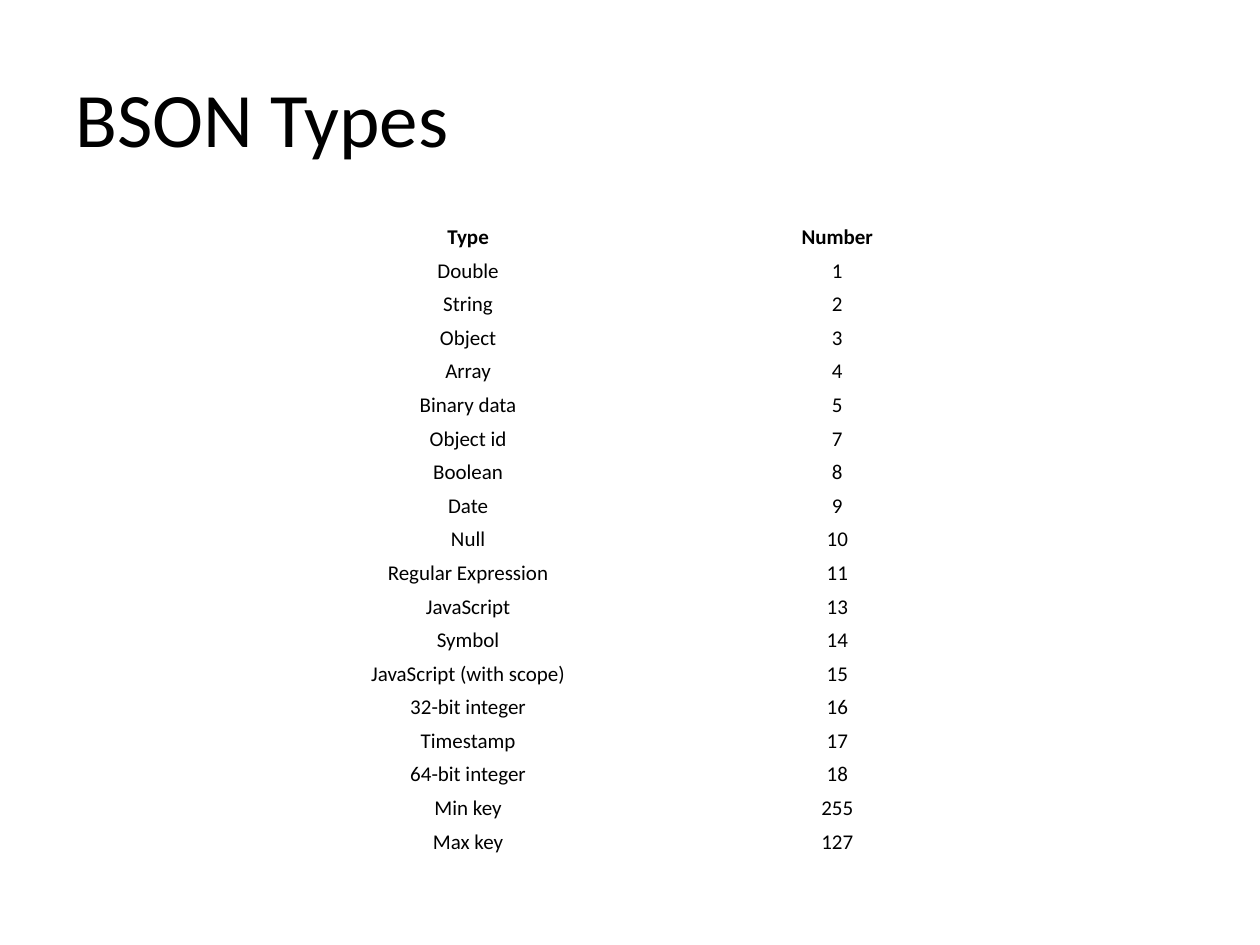
"""Build the BSON Types slide: a title above a two-column table of type numbers."""
from dataclasses import dataclass

from pptx import Presentation
from pptx import util as u
from pptx.dml import color
from pptx.enum import text


@dataclass(frozen=True)
class Theme:
    font: str = "Calibri"
    ink: color.RGBColor = color.RGBColor(0, 0, 0)
    title: u.Pt = u.Pt(44)
    body: u.Pt = u.Pt(12)


theme = Theme()


def style(paragraph, size, bold=False):
    for run in paragraph.runs:
        run.font.name = theme.font
        run.font.size = size
        run.font.bold = bold
        run.font.color.rgb = theme.ink


bson_types = [
    ("Type", "Number"),
    ("Double", 1),
    ("String", 2),
    ("Object", 3),
    ("Array", 4),
    ("Binary data", 5),
    ("Object id", 7),
    ("Boolean", 8),
    ("Date", 9),
    ("Null", 10),
    ("Regular Expression", 11),
    ("JavaScript", 13),
    ("Symbol", 14),
    ("JavaScript (with scope)", 15),
    ("32-bit integer", 16),
    ("Timestamp", 17),
    ("64-bit integer", 18),
    ("Min key", 255),
    ("Max key", 127),
]

deck = Presentation()
deck.slide_width, deck.slide_height = u.Inches(10), u.Inches(7.5)
slide = deck.slides.add_slide(deck.slide_layouts[6])

heading = slide.shapes.add_textbox(
    u.Inches(0.5), u.Inches(0.3), u.Inches(9), u.Inches(1.25)).text_frame
heading.word_wrap = True
heading.vertical_anchor = text.MSO_ANCHOR.MIDDLE
heading.text = "BSON Types"
style(heading.paragraphs[0], theme.title)

type_table = slide.shapes.add_table(
    len(bson_types), 2,
    u.Inches(2.25), u.Inches(1.75), u.Inches(5.86), u.Inches(5.04)).table
type_table.first_row = False
type_table.horz_banding = False

for row, entry in enumerate(bson_types):
    for column, value in enumerate(entry):
        cell = type_table.cell(row, column)
        cell.fill.background()
        cell.vertical_anchor = text.MSO_ANCHOR.MIDDLE
        cell.margin_left = cell.margin_right = u.Inches(0.07)
        cell.margin_top = cell.margin_bottom = u.Pt(2.4)
        cell.text_frame.text = str(value)
        paragraph = cell.text_frame.paragraphs[0]
        paragraph.alignment = text.PP_ALIGN.CENTER
        style(paragraph, theme.body, bold=row == 0)

deck.save("out.pptx")
